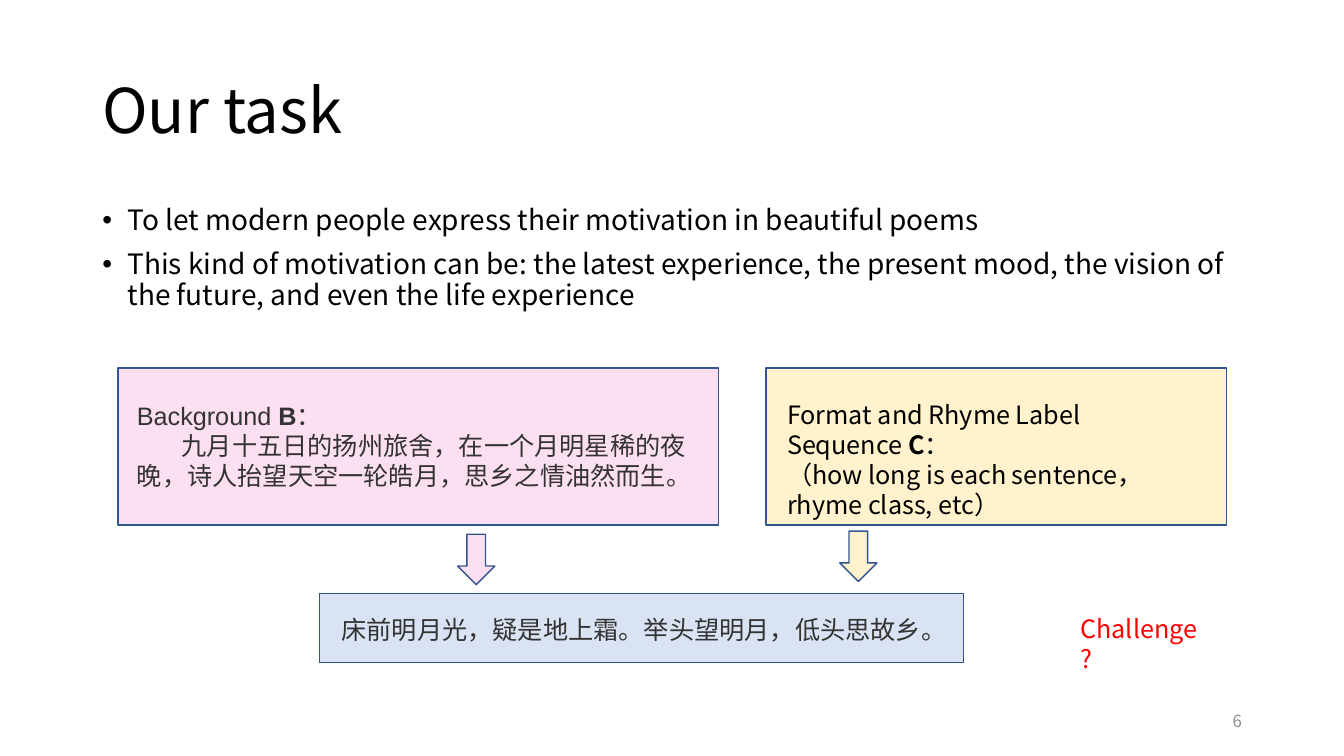
from dataclasses import dataclass
from typing import NamedTuple

import lxml.etree
import pptx
import pptx.dml.color
import pptx.enum.shapes
import pptx.enum.text
import pptx.oxml.ns
import pptx.presentation
import pptx.slide
import pptx.util

Anchor = pptx.enum.text.MSO_ANCHOR
Align = pptx.enum.text.PP_ALIGN
Preset = pptx.enum.shapes.MSO_SHAPE


@dataclass(frozen=True)
class Theme:
    sans: str = "Noto Sans CJK SC"
    arial: str = "Arial"
    black: str = "000000"
    dark: str = "333333"
    red: str = "FF0000"
    grey: str = "8C8C8C"
    outline: str = "325491"
    pink: str = "FDDFF2"
    yellow: str = "FFF2CC"
    blue: str = "DAE3F3"
    title_size: float = 44
    body_size: float = 20
    label_size: float = 18
    number_size: float = 12


THEME = Theme()


class Box(NamedTuple):
    """Left, top, width and height in points."""
    left: float
    top: float
    width: float
    height: float

    def lengths(self) -> list[pptx.util.Length]:
        return [pptx.util.Pt(value) for value in self]


class Run(NamedTuple):
    text: str
    bold: bool = False


@dataclass(frozen=True)
class Block:
    preset: Preset
    box: Box
    fill: str


@dataclass(frozen=True)
class Label:
    box: Box
    paragraphs: list[list[Run]]
    size: float = THEME.label_size
    font: str = THEME.sans
    color: str = THEME.black
    anchor: Anchor = Anchor.TOP
    align: Align = Align.LEFT
    line_spacing: float = 1.0
    space_between: float = 0
    bullet: bool = False
    last_indent: float = 0  # first-line indent of the last paragraph


# Shapes of the flow diagram, back to front
ARROW_SIZE = (26.6, 36)
BLOCKS = [
    Block(Preset.RECTANGLE, Box(228.2, 424.1, 460.1, 49), THEME.blue),
    Block(Preset.RECTANGLE, Box(547.2, 262.8, 329, 112.3), THEME.yellow),
    Block(Preset.RECTANGLE, Box(84.2, 262.8, 429.1, 112.3), THEME.pink),
    Block(Preset.DOWN_ARROW, Box(326.9, 381.6, *ARROW_SIZE), THEME.pink),
    Block(Preset.DOWN_ARROW, Box(599.8, 379.4, *ARROW_SIZE), THEME.yellow),
]

# Title, bullets, diagram texts, remark and slide number
LABELS = [
    Label(Box(66, 28.8, 828, 104.4), [[Run("Our task")]], THEME.title_size,
          anchor=Anchor.MIDDLE, line_spacing=0.9),
    Label(Box(66, 144, 828, 120.2), [
        [Run("To let modern people express their motivation in beautiful poems")],
        [Run("This kind of motivation can be: the latest experience, the present "
             "mood, the vision of the future, and even the life experience")],
    ], THEME.body_size, line_spacing=0.9, space_between=10, bullet=True),
    Label(Box(90.7, 282.2, 421.9, 72.7), [
        [Run("Background "), Run("B", True), Run("：")],
        [Run("九月十五日的扬州旅舍，在一个月明星稀的夜晚，"
             "诗人抬望天空一轮皓月，思乡之情油然而生。")],
    ], font=THEME.arial, color=THEME.dark, last_indent=32),
    Label(Box(555.1, 281.5, 309.6, 72.7), [
        [Run("Format and Rhyme Label Sequence "), Run("C", True), Run("：")],
        [Run("（how long is each sentence，rhyme class, etc）")],
    ]),
    Label(Box(236.9, 435.6, 450.7, 28.8),
          [[Run("床前明月光，疑是地上霜。举头望明月，低头思故乡。")]],
          font=THEME.arial, color=THEME.dark),
    Label(Box(764.6, 434.2, 100.1, 28.8), [[Run("Challenge?")]], color=THEME.red),
    Label(Box(678.2, 500.4, 216, 28.8), [[Run("6")]], THEME.number_size,
          color=THEME.grey, anchor=Anchor.MIDDLE, align=Align.RIGHT),
]


def apply_format(target: object, values: dict[str, object]) -> None:
    for name, value in values.items():
        setattr(target, name, value)


def rgb(color: str) -> pptx.dml.color.RGBColor:
    return pptx.dml.color.RGBColor.from_string(color)


def set_indent(paragraph, margin: float, first_line: float) -> None:
    properties = paragraph._p.get_or_add_pPr()
    properties.set("marL", str(pptx.util.Pt(margin)))
    properties.set("indent", str(pptx.util.Pt(first_line)))


def add_bullet(paragraph) -> None:
    set_indent(paragraph, 18, -18)
    properties = paragraph._p.get_or_add_pPr()
    for tag, key, value in (("a:buFont", "typeface", THEME.arial),
                            ("a:buChar", "char", "•")):
        element = lxml.etree.SubElement(properties, pptx.oxml.ns.qn(tag))
        element.set(key, value)


def add_block(slide: pptx.slide.Slide, block: Block) -> None:
    shape = slide.shapes.add_shape(block.preset, *block.box.lengths())
    shape.shadow.inherit = False
    shape.fill.solid()
    shape.fill.fore_color.rgb = rgb(block.fill)
    shape.line.color.rgb = rgb(THEME.outline)
    shape.line.width = pptx.util.Pt(1)


def add_label(slide: pptx.slide.Slide, label: Label) -> None:
    frame = slide.shapes.add_textbox(*label.box.lengths()).text_frame
    apply_format(frame, {"word_wrap": True, "vertical_anchor": label.anchor})
    for index, runs in enumerate(label.paragraphs):
        paragraph = frame.add_paragraph() if index else frame.paragraphs[0]
        apply_format(paragraph, {
            "alignment": label.align,
            "line_spacing": label.line_spacing,
            "space_before": pptx.util.Pt(label.space_between if index else 0),
        })
        if label.bullet:
            add_bullet(paragraph)
        elif label.last_indent and index == len(label.paragraphs) - 1:
            set_indent(paragraph, 0, label.last_indent)
        for part in runs:
            run = paragraph.add_run()
            run.text = part.text
            apply_format(run.font, {"name": label.font, "bold": part.bold,
                                    "size": pptx.util.Pt(label.size)})
            run.font.color.rgb = rgb(label.color)
            # Chinese characters take the sans face
            east_asian = lxml.etree.SubElement(run.font._element,
                                               pptx.oxml.ns.qn("a:ea"))
            east_asian.set("typeface", THEME.sans)


def main() -> None:
    presentation = pptx.Presentation()
    apply_format(presentation, {"slide_width": pptx.util.Pt(960),
                                "slide_height": pptx.util.Pt(540)})
    slide = presentation.slides.add_slide(presentation.slide_layouts[6])
    for block in BLOCKS:
        add_block(slide, block)
    for label in LABELS:
        add_label(slide, label)
    presentation.save("out.pptx")


if __name__ == "__main__":
    main()
